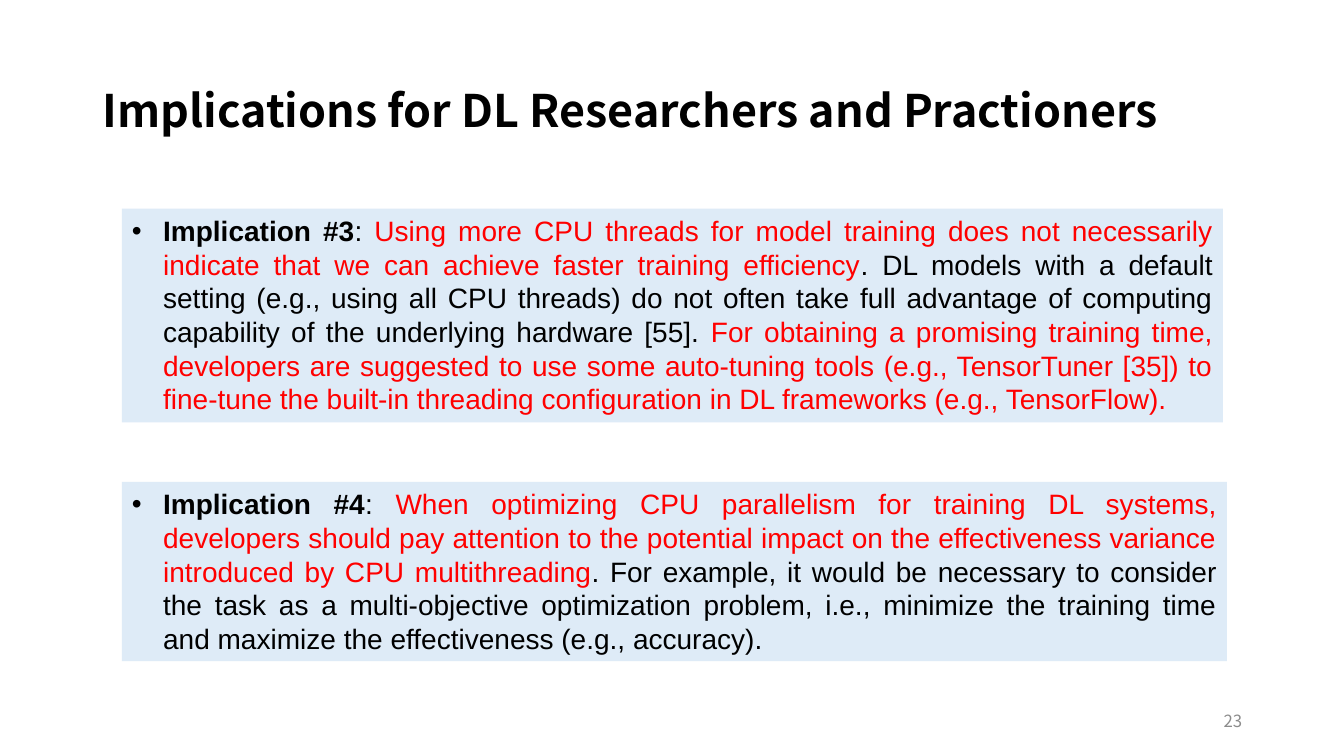
import pptx
import pptx.dml.color
import pptx.enum.shapes
import pptx.enum.text
import pptx.oxml
import pptx.oxml.ns
import pptx.util

Inches = pptx.util.Inches
ALIGN = pptx.enum.text.PP_ALIGN
ANCHOR = pptx.enum.text.MSO_ANCHOR

COLORS = {
    "black": "000000",
    "red": "FF0000",
    "panel": "DEEBF7",
    "gray": "8C8C8C",
}
HEADING_FONT = "Noto Sans CJK SC"
BODY_FONT = "Arial"

IMPLICATION_3 = [
    ("Using more CPU threads for model training does not necessarily indicate "
     "that we can achieve faster training efficiency", "red"),
    (". DL models with a default setting (e.g., using all CPU threads) do not "
     "often take full advantage of computing capability of the underlying "
     "hardware [55]. ", "black"),
    ("For obtaining a promising training time, developers are suggested to use "
     "some auto-tuning tools (e.g., TensorTuner [35]) to fine-tune the built-in "
     "threading configuration in DL frameworks (e.g., TensorFlow).", "red"),
]
IMPLICATION_4 = [
    ("When optimizing CPU parallelism for training DL systems, developers should "
     "pay attention to the potential impact on the effectiveness variance "
     "introduced by CPU multithreading", "red"),
    (". For example, it would be necessary to consider the task as a "
     "multi-objective optimization problem, i.e., minimize the training time and "
     "maximize the effectiveness (e.g., accuracy).", "black"),
]


def rgb(color):
    return pptx.dml.color.RGBColor.from_string(COLORS[color])


def format_run(r, font, size, color, bold=False):
    r.font.name = font
    r.font.size = pptx.util.Pt(size)
    r.font.color.rgb = rgb(color)
    r.font.bold = bold


def add_bullet(p, indent):
    """Give the paragraph a round bullet with a hanging indent."""
    pPr = p._p.get_or_add_pPr()
    pPr.set("marL", str(indent))
    pPr.set("indent", str(-indent))
    for tag, name, value in (("a:buFont", "typeface", BODY_FONT),
                             ("a:buChar", "char", "•")):
        element = pptx.oxml.parse_xml(f"<{tag} {pptx.oxml.ns.nsdecls('a')}/>")
        element.set(name, value)
        pPr.append(element)


def add_label(s, box, text, size, color, bold=False, align=ALIGN.LEFT, spacing=1.0):
    sp = s.shapes.add_textbox(*map(Inches, box))
    tf = sp.text_frame
    tf.word_wrap = True
    tf.vertical_anchor = ANCHOR.MIDDLE
    tf.text = text
    p = tf.paragraphs[0]
    p.alignment = align
    p.line_spacing = spacing
    format_run(p.runs[0], HEADING_FONT, size, color, bold)


def add_implication(s, box, number, parts):
    """Add a tinted panel with a bold lead-in and coloured text parts."""
    sp = s.shapes.add_shape(pptx.enum.shapes.MSO_SHAPE.RECTANGLE, *map(Inches, box))
    sp.shadow.inherit = False
    sp.fill.solid()
    sp.fill.fore_color.rgb = rgb("panel")
    sp.line.fill.background()
    tf = sp.text_frame
    tf.word_wrap = True
    tf.auto_size = pptx.enum.text.MSO_AUTO_SIZE.SHAPE_TO_FIT_TEXT
    tf.vertical_anchor = ANCHOR.TOP
    p = tf.paragraphs[0]
    p.alignment = ALIGN.JUSTIFY
    add_bullet(p, Inches(0.31))
    lead = f"Implication #{number}"
    for text, color in [(lead, "black"), (": ", "black"), *parts]:
        r = p.add_run()
        r.text = text
        format_run(r, BODY_FONT, 20, color, bold=text == lead)


def main():
    prs = pptx.Presentation()
    prs.slide_width = Inches(13.33)
    prs.slide_height = Inches(7.5)
    s = prs.slides.add_slide(prs.slide_layouts[6])

    add_label(s, (0.92, 0.4, 11.5, 1.45),
              "Implications for DL Researchers and Practioners",
              32, "black", bold=True, spacing=0.9)
    add_implication(s, (1.21, 2.07, 10.92, 2.12), 3, IMPLICATION_3)
    add_implication(s, (1.21, 4.78, 10.96, 1.78), 4, IMPLICATION_4)
    add_label(s, (9.42, 6.95, 3, 0.4), "23", 12, "gray", align=ALIGN.RIGHT)

    prs.save("out.pptx")


if __name__ == "__main__":
    main()
